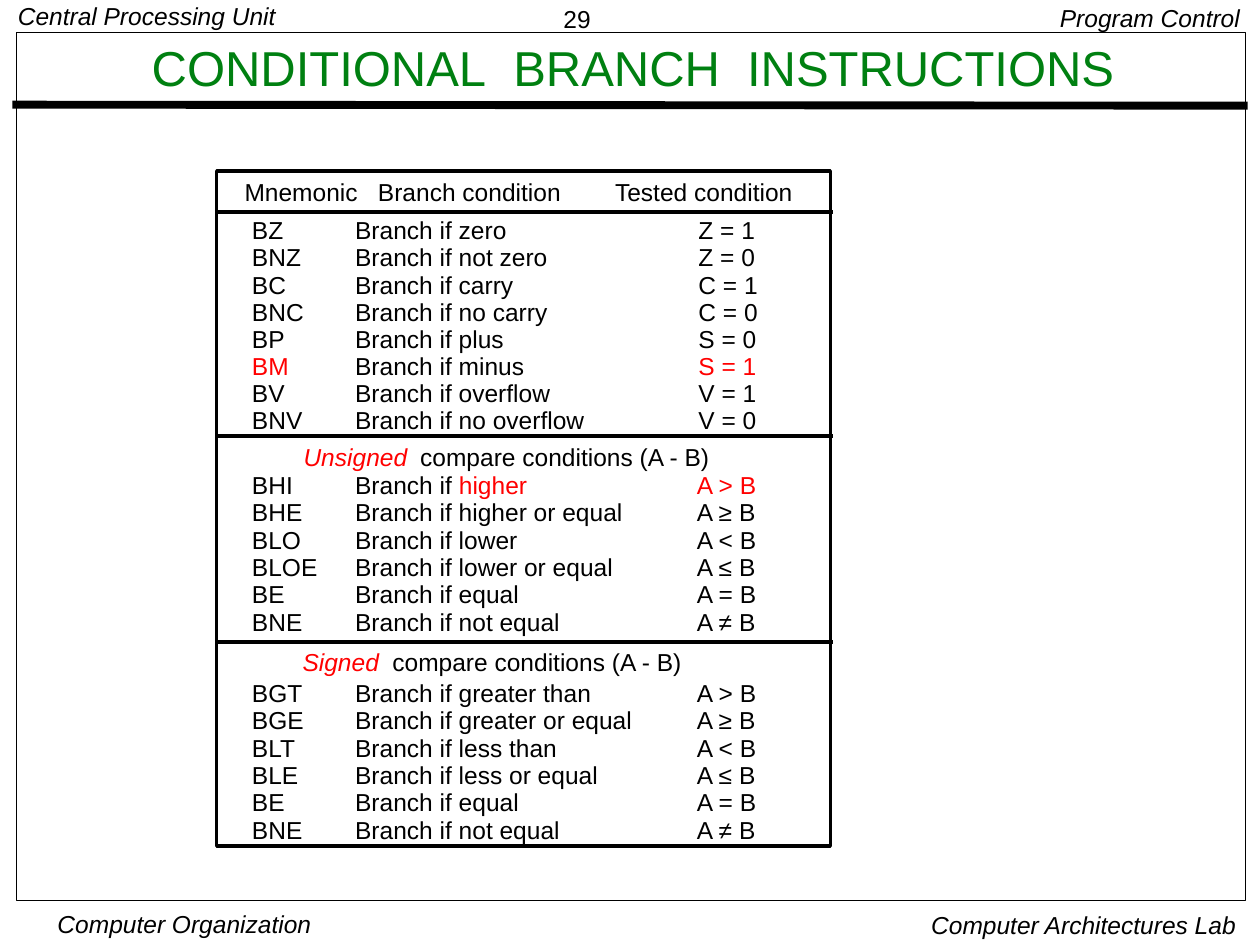
from lxml import etree
from pptx import Presentation, util as u
from pptx.dml.color import RGBColor
from pptx.enum import shapes, text
from pptx.oxml.ns import qn

COLORS = {"black": "000000", "red": "FF0000", "green": "008011"}
LEFT, CENTER, RIGHT = text.PP_ALIGN.LEFT, text.PP_ALIGN.CENTER, text.PP_ALIGN.RIGHT
NORMAL = (0.18, 0.08)
WIDE = (0.25, 0.13)
TIGHT = (0.08, 0.03)
ITALIC = {"italic": True}
RED = {"color": "red"}
RED_ITALIC = {"color": "red", "italic": True}

prs = Presentation()
prs.slide_width, prs.slide_height = u.Cm(25.4), u.Cm(19.05)
s = prs.slides.add_slide(prs.slide_layouts[6])


def add_text(box, paragraphs, inset=NORMAL, align=LEFT, spacing=0.9, tabs=(), wrap=False):
    sp = s.shapes.add_textbox(*[u.Cm(v) for v in box])
    tf = sp.text_frame
    frame_format = {
        "margin_left": u.Cm(inset[0]), "margin_right": u.Cm(inset[0]),
        "margin_top": u.Cm(inset[1]), "margin_bottom": u.Cm(inset[1]),
        "word_wrap": wrap, "auto_size": text.MSO_AUTO_SIZE.SHAPE_TO_FIT_TEXT,
    }
    for name, value in frame_format.items():
        setattr(tf, name, value)
    for i, runs in enumerate(paragraphs):
        p = tf.add_paragraph() if i else tf.paragraphs[0]
        if tabs:
            tab_list = etree.SubElement(p._p.get_or_add_pPr(), qn("a:tabLst"))
            for pos in tabs:
                etree.SubElement(tab_list, qn("a:tab"), pos=str(u.Cm(pos)), algn="l")
        p.alignment, p.line_spacing = align, spacing
        for words, style in runs:
            r = p.add_run()
            r.text = words
            font_format = {"name": "Arial", "size": u.Pt(style.get("size", 14)),
                           "italic": style.get("italic", False)}
            for name, value in font_format.items():
                setattr(r.font, name, value)
            r.font.color.rgb = RGBColor.from_string(COLORS[style.get("color", "black")])
            if "gap" in style:
                r._r.get_or_add_rPr().set("spc", str(style["gap"]))
    return sp


def add_line(x1, y1, x2, y2, width):
    sp = s.shapes.add_connector(shapes.MSO_CONNECTOR.STRAIGHT, *[u.Cm(v) for v in (x1, y1, x2, y2)])
    sp.line.width = u.Pt(width)
    sp.line.color.rgb = RGBColor.from_string(COLORS["black"])
    sp.line._get_or_add_ln().set("cap", "sq")
    etree.SubElement(sp._element.spPr, qn("a:effectLst"))


margins = [
    ((11.18, 0, 2.62, 0.74), "29", {}, NORMAL, LEFT, 1.01),
    ((0.18, 0, 6, 0.69), "Central Processing Unit", ITALIC, NORMAL, LEFT, 0.9),
    ((21.01, 0, 4.24, 0.79), "Program Control", ITALIC, WIDE, RIGHT, 0.9),
    ((0.87, 18.29, 5.7, 0.66), "Computer Organization", ITALIC, TIGHT, CENTER, 1.0),
    ((18.29, 18.21, 6.88, 0.84), "Computer Architectures Lab", ITALIC, WIDE, RIGHT, 1.0),
]
for box, words, style, inset, align, spacing in margins:
    add_text(box, [[(words, style)]], inset, align, spacing)

add_line(0.33, 2.11, 25.07, 2.13, 4.5)
for box, width in [((0.33, 0.66, 24.77, 17.5), 0.5), ((4.37, 3.45, 12.37, 13.61), 2)]:
    sp = s.shapes.add_shape(shapes.MSO_SHAPE.RECTANGLE, *[u.Cm(v) for v in box])
    sp.shadow.inherit = False
    sp.fill.background()
    sp.line.width = u.Pt(width)
    sp.line.color.rgb = RGBColor.from_string(COLORS["black"])

heading = {"size": 28, "color": "green"}
word_gap = (" ", {**heading, "gap": 778})
title = add_text((0.81, 0.66, 23.9, 1.52), [[
    ("CONDITIONAL", heading), word_gap, ("BRANCH", heading), word_gap, ("INSTRUCTIONS", heading),
]], align=CENTER, wrap=True)
title.text_frame.auto_size = text.MSO_AUTO_SIZE.NONE
title.text_frame.vertical_anchor = text.MSO_ANCHOR.MIDDLE

add_text((4.75, 3.56, 11.48, 0.69),
         [[("Mnemonic\tBranch condition\tTested condition", {})]], tabs=(2.69, 7.47))

status_rows = [
    [("BZ\tBranch if zero\tZ = 1", {})],
    [("BNZ\tBranch if not zero\tZ = 0", {})],
    [("BC\tBranch if carry\tC = 1", {})],
    [("BNC\tBranch if no carry\tC = 0", {})],
    [("BP\tBranch if plus\tS = 0", {})],
    [("BM\t", RED), ("Branch if minus\t", {}), ("S = 1", RED)],
    [("BV\tBranch if overflow\tV = 1", {})],
    [("BNV\tBranch if no overflow\tV = 0", {})],
]
unsigned_rows = [
    [("BHI\tBranch if ", {}), ("higher\tA > B", RED)],
    [("BHE\tBranch if higher or equal\tA ≥ B", {})],
    [("BLO\tBranch if lower\tA < B", {})],
    [("BLOE\tBranch if lower or equal\tA ≤ B", {})],
    [("BE\tBranch if equal\tA = B", {})],
    [("BNE\tBranch if not equal\tA ≠ B", {})],
]
signed_rows = [
    [("BGT\tBranch if greater than\tA > B", {})],
    [("BGE\tBranch if greater or equal\tA ≥ B", {})],
    [("BLT\tBranch if less than\tA < B", {})],
    [("BLE\tBranch if less or equal\tA ≤ B", {})],
    [("BE\tBranch if equal\tA = B", {})],
    [("BNE\tBranch if not equal\tA ≠ B", {})],
]
groups = [
    (4.32, 4.52, status_rows, 0.92, 9),
    (9.45, 3.45, unsigned_rows, 0.93, 8.97),
    (13.64, 3.45, signed_rows, 0.93, 8.97),
]
for top, height, rows, spacing, tested_tab in groups:
    add_text((4.9, top, 17.88, height), rows, spacing=spacing, tabs=(2.08, tested_tab), wrap=True)

for left, top, width, kind, tab in [(5.94, 8.89, 8.59, "Unsigned", 2.35),
                                    (5.92, 13.03, 8.03, "Signed", 1.81)]:
    add_text((left, top, width, 0.69),
             [[(kind, RED_ITALIC), ("\tcompare conditions (A - B)", {})]], tabs=(tab,))

for y in (4.27, 8.79, 12.94):
    add_line(4.37, y, 16.76, y, 2)

prs.save("out.pptx")
